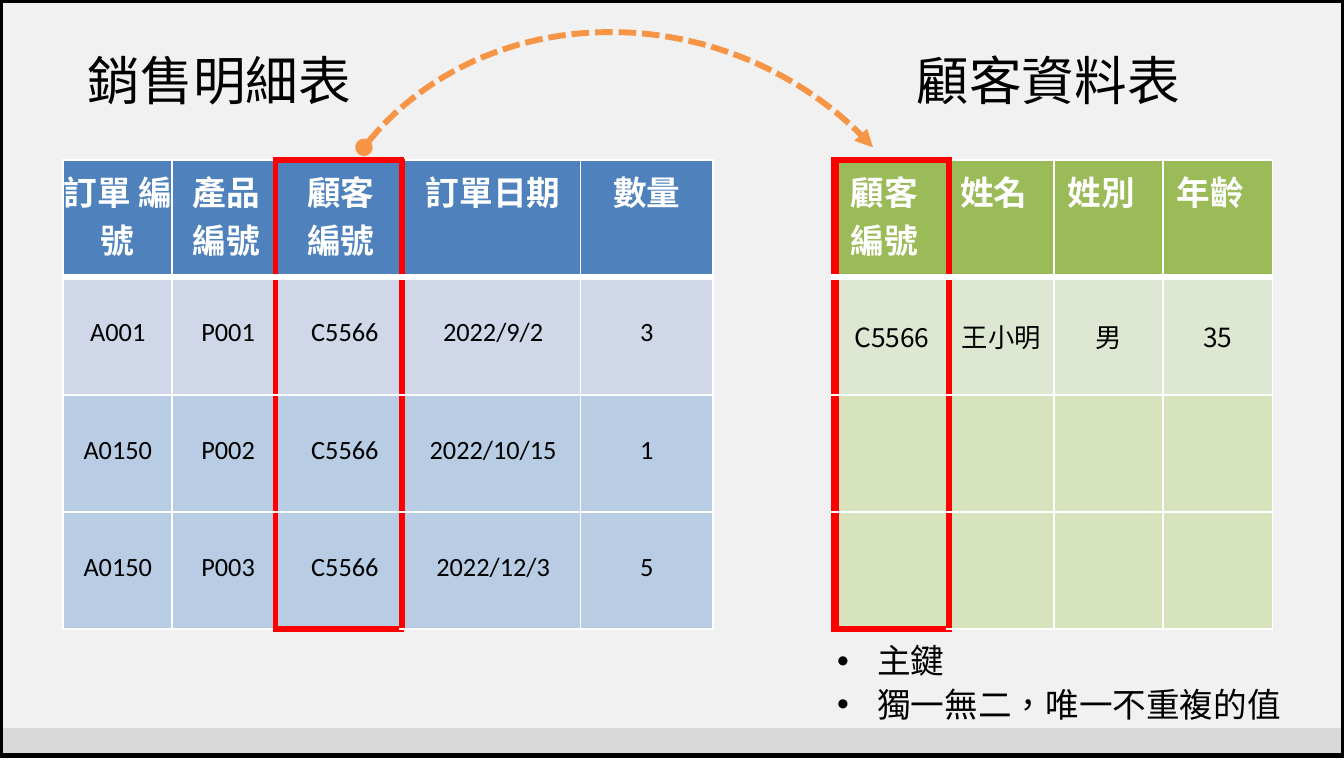
from lxml.etree import SubElement
from pptx import Presentation
from pptx.dml.color import RGBColor
from pptx.enum.dml import MSO_LINE
from pptx.enum.shapes import MSO_SHAPE
from pptx.enum.text import MSO_ANCHOR, PP_ALIGN
from pptx.oxml.ns import qn
from pptx.util import Inches, Pt

SLIDE_WIDTH, SLIDE_HEIGHT = 460 / 72, 260 / 72
NOTO = "Noto Sans CJK TC"
CALIBRI = "Calibri"
WHITE, BLACK, RED, ORANGE = "FFFFFF", "000000", "FF0000", "F79546"

PANELS = [  # top, height, fill
    (0, 3.46, "F1F1F1"),
    (3.46, 0.14, "D9D9D9"),
]
TITLES = [("銷售明細表", 0.32), ("顧客資料表", 4.26)]
TABLES = [  # paddings are (left, right) for each column
    {
        "left": 0.3,
        "columns": [0.52, 0.49, 0.6, 0.85, 0.63],
        "rows": [
            ["訂單 編號", "產品 編號", "顧客 編號", "訂單日期", "數量"],
            ["A001", "P001", "C5566", "2022/9/2", "3"],
            ["A0150", "P002", "C5566", "2022/10/15", "1"],
            ["A0150", "P003", "C5566", "2022/12/3", "5"],
        ],
        "fills": ["4F81BC", "D0D7E8", "B8CDE4", "B8CDE4"],
        "key": 2,
        "key_left_width": 2.25,
        "body_font": CALIBRI,
        "header_paddings": [(0, 0), (0.02, 0), (0.1, 0.08), (0.02, 0), (0, 0)],
        "body_paddings": [(0, 0), (0.04, 0), (0.06, 0), (0.02, 0), (0, 0)],
        "body_bottom": 0.03,
    },
    {
        "left": 3.97,
        "columns": [0.54, 0.5, 0.52, 0.52],
        "rows": [
            ["顧客 編號", "姓名", "姓別", "年齡"],
            ["C5566", "王小明", "男", "35"],
            ["", "", "", ""],
            ["", "", "", ""],
        ],
        "fills": ["9BBA58", "DEE7D1", "D6E3BC", "D6E3BC"],
        "key": 0,
        "key_left_width": 3,
        "body_font": NOTO,
        "header_paddings": [(0, 0.07)] * 4,
        "body_paddings": [(0, 0)] * 4,
        "body_bottom": 0,
    },
]
TABLE_TOP, TABLE_HEIGHT = 0.76, 2.23
KEY_NOTES = ["主鍵", "獨一無二，唯一不重複的值"]
LINK_CURVE = [(1.73, 0.7), (2.3, -0.03), (3.48, -0.03), (4.15, 0.7)]
LINK_STEPS = 48


def color(hex_string):
    return RGBColor.from_string(hex_string)


def set_all(target, values):
    for name, value in values.items():
        setattr(target, name, value)


def write(paragraph, text, size, font, hex_color, bold=False):
    run = paragraph.add_run()
    run.text = text
    set_all(run.font, {"size": Pt(size), "name": font, "bold": bold})
    run.font.color.rgb = color(hex_color)
    run.font._element.set("lang", "zh-TW")
    SubElement(run.font._element, qn("a:ea"), typeface=font)


def add_text_box(left, top, width, height):
    box = slide.shapes.add_textbox(*map(Inches, (left, top, width, height)))
    return box.text_frame


def add_rectangle(top, height):
    shape = slide.shapes.add_shape(
        MSO_SHAPE.RECTANGLE, 0, Inches(top), Inches(SLIDE_WIDTH), Inches(height))
    shape.shadow.inherit = False
    return shape


def set_borders(cell, borders):
    """Put (color, width) borders, keyed L, R, T, B, before the cell's fill."""
    properties = cell._tc.get_or_add_tcPr()
    for index, side in enumerate("LRTB"):
        hex_color, width = borders[side]
        line = SubElement(properties, qn(f"a:ln{side}"), w=str(Pt(width)))
        fill = SubElement(line, qn("a:solidFill"))
        SubElement(fill, qn("a:srgbClr"), val=hex_color)
        properties.insert(index, line)


def cell_borders(row, column, last_row, key, key_left_width):
    """Frame the key column in red and underline the header in white."""
    thin, thick, frame = (WHITE, 0.75), (WHITE, 2.25), (RED, 2.25)
    edges = {key: (RED, key_left_width), key + 1: frame}
    in_key = column == key
    top = thick if row == 1 else frame if in_key and row == 0 else thin
    bottom = thick if row == 0 else frame if in_key and row == last_row else thin
    return {"L": edges.get(column, thin), "R": edges.get(column + 1, thin),
            "T": top, "B": bottom}


def add_data_table(content):
    rows, columns = content["rows"], content["columns"]
    table = slide.shapes.add_table(
        len(rows), len(columns), Inches(content["left"]), Inches(TABLE_TOP),
        Inches(sum(columns)), Inches(TABLE_HEIGHT)).table
    set_all(table, {"first_row": False, "horz_banding": False})
    for column, width in zip(table.columns, columns):
        column.width = Inches(width)
    for r, texts in enumerate(rows):
        part = "body" if r else "header"
        for c, text in enumerate(texts):
            cell = table.cell(r, c)
            cell.fill.solid()
            cell.fill.fore_color.rgb = color(content["fills"][r])
            left, right = content[f"{part}_paddings"][c]
            set_all(cell, {
                "margin_left": Inches(left),
                "margin_right": Inches(right),
                "margin_top": Inches(0 if r else 0.03),
                "margin_bottom": Inches(content["body_bottom"] if r else 0),
                "vertical_anchor": MSO_ANCHOR.MIDDLE if r else MSO_ANCHOR.TOP,
            })
            paragraph = cell.text_frame.paragraphs[0]
            paragraph.alignment = PP_ALIGN.CENTER
            if r == 0:
                paragraph.space_before = Pt(2)
                write(paragraph, text, 11.5, NOTO, WHITE, bold=True)
            elif text:
                write(paragraph, text, 9, content["body_font"], BLACK)
            set_borders(cell, cell_borders(
                r, c, len(rows) - 1, content["key"], content["key_left_width"]))


def curve_point(t):
    """Point on the cubic Bezier curve LINK_CURVE."""
    weights = ((1 - t) ** 3, 3 * t * (1 - t) ** 2, 3 * t ** 2 * (1 - t), t ** 3)
    return tuple(Inches(sum(w * point[axis] for w, point in zip(weights, LINK_CURVE)))
                 for axis in (0, 1))


def add_link_arrow():
    start, *others = [curve_point(i / LINK_STEPS) for i in range(LINK_STEPS + 1)]
    builder = slide.shapes.build_freeform(*start)
    builder.add_line_segments(others, close=False)
    arrow = builder.convert_to_shape()
    arrow.shadow.inherit = False
    arrow.fill.background()
    arrow.line.color.rgb = color(ORANGE)
    set_all(arrow.line, {"width": Pt(2), "dash_style": MSO_LINE.SQUARE_DOT})
    line = arrow.line._get_or_add_ln()
    line.find(qn("a:prstDash")).set("val", "sysDash")
    SubElement(line, qn("a:round"))
    SubElement(line, qn("a:headEnd"), type="oval")
    SubElement(line, qn("a:tailEnd"), type="triangle")


def add_key_notes():
    frame = add_text_box(3.97, 3.03, 2.63, 0.42)
    set_all(frame, {"word_wrap": True, "margin_left": 0, "margin_right": 0,
                    "margin_top": Inches(0.01), "margin_bottom": 0})
    for i, note in enumerate(KEY_NOTES):
        paragraph = frame.add_paragraph() if i else frame.paragraphs[0]
        set_all(paragraph, {"space_before": Pt(1), "line_spacing": Pt(14)})
        properties = paragraph._p.get_or_add_pPr()
        properties.set("marL", str(Inches(0.2)))
        properties.set("indent", str(Inches(-0.19)))
        SubElement(properties, qn("a:buFont"), typeface="Arial")
        SubElement(properties, qn("a:buChar"), char="•")
        write(paragraph, note, 11.5, NOTO, BLACK)


presentation = Presentation()
set_all(presentation, {"slide_width": Inches(SLIDE_WIDTH),
                       "slide_height": Inches(SLIDE_HEIGHT)})
slide = presentation.slides.add_slide(presentation.slide_layouts[6])

for top, height, fill in PANELS:
    panel = add_rectangle(top, height)
    panel.fill.solid()
    panel.fill.fore_color.rgb = color(fill)
    panel.line.fill.background()
for content in TABLES:
    add_data_table(content)
add_key_notes()
add_link_arrow()

slide_frame = add_rectangle(0, 3.59)
slide_frame.fill.background()
slide_frame.line.color.rgb = color(BLACK)
slide_frame.line.width = Pt(1.92)

for title, left in TITLES:
    title_frame = add_text_box(left, 0.18, 1.46, 0.4)
    title_frame.word_wrap = False
    write(title_frame.paragraphs[0], title, 18, CALIBRI, BLACK)

presentation.save("out.pptx")
